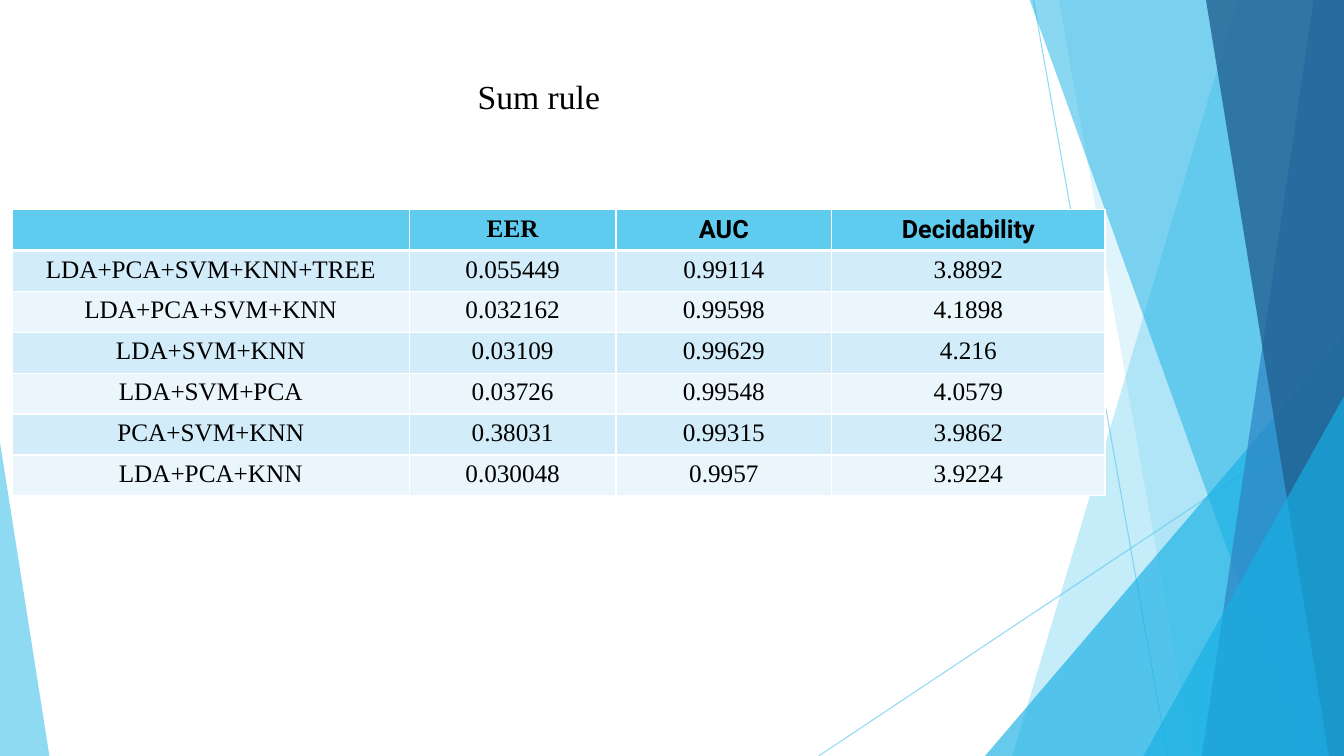
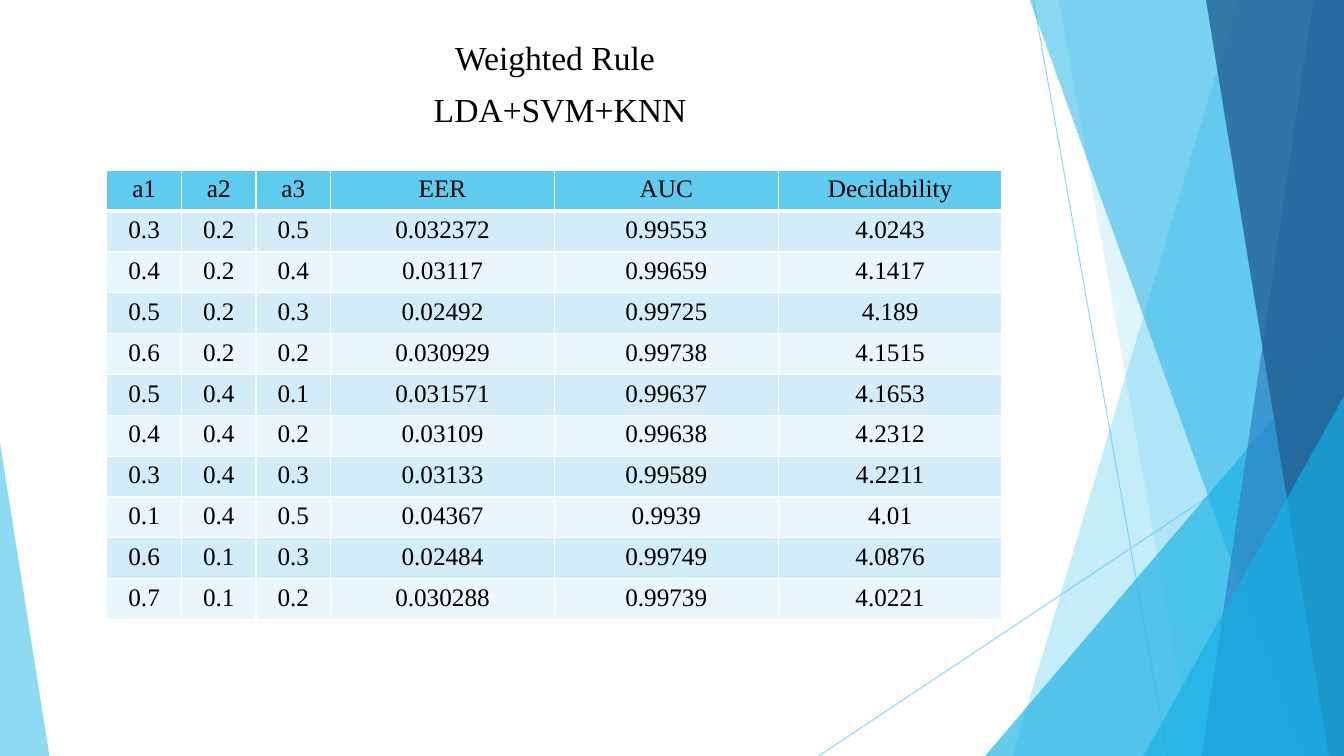
from dataclasses import dataclass

from lxml.etree import SubElement as Sub
from pptx import Presentation
from pptx.dml.color import RGBColor as Rgb
from pptx.enum.shapes import MSO_CONNECTOR as Link, MSO_SHAPE as Kind
from pptx.enum.text import MSO_ANCHOR as Anchor, MSO_AUTO_SIZE as Fit, PP_ALIGN as Align
from pptx.oxml.ns import qn
from pptx.util import Inches, Pt

SERIF, SANS = "Times New Roman", "Roboto"
BLACK, WHITE = "000000", "FFFFFF"
SKY, AQUA, BLUE, NAVY = "5FCBEF", "17B0E4", "2E83C3", "226292"
BANDS = ("EAF6FC", "D2ECF9")
WIDE, HIGH = 13.33, 7.5


@dataclass
class Ray:
    x1: float
    y1: float
    x2: float
    y2: float


@dataclass
class Shard:
    top: float
    base: float
    color: str
    alpha: int


@dataclass
class Wedge:
    left: float
    top: float
    width: float
    apex: float
    color: str
    alpha: int


@dataclass
class Label:
    text: str
    left: float
    top: float
    width: float
    wrap: bool = True


@dataclass
class Grid:
    left: float
    top: float
    height: float
    cols: list[float]
    rows: list[str]
    fonts: list[str]
    bold: bool = False


@dataclass
class Page:
    labels: list[Label]
    grid: Grid


RAYS = [Ray(10.25, 0, 11.58, HIGH), Ray(WIDE, 4.03, 8.12, HIGH)]
FACETS = [
    Shard(12.28, 10.04, SKY, 36),
    Shard(10.5, 11.83, SKY, 20),
    Wedge(9.77, 3.33, 3.56, 1, AQUA, 66),
    Shard(10.21, 12.91, AQUA, 50),
    Shard(13.03, 11.92, BLUE, 70),
    Shard(11.96, 13.18, NAVY, 80),
    Wedge(11.34, 3.93, 1.99, 1, AQUA, 66),
    Wedge(0, 4.39, 0.49, 0, SKY, 70),
]

PAGES = [
    Page(
        [Label("Sum rule", 4.63, 0.7, 1.43, False)],
        Grid(0.12, 2.08, 2.84, [3.94, 2.05, 2.14, 2.71], [
            "|EER|AUC|Decidability",
            "LDA+PCA+SVM+KNN+TREE|0.055449|0.99114|3.8892",
            "LDA+PCA+SVM+KNN|0.032162|0.99598|4.1898",
            "LDA+SVM+KNN|0.03109|0.99629|4.216",
            "LDA+SVM+PCA|0.03726|0.99548|4.0579",
            "PCA+SVM+KNN|0.38031|0.99315|3.9862",
            "LDA+PCA+KNN|0.030048|0.9957|3.9224",
        ], [SERIF, SERIF, SANS, SANS], True),
    ),
    Page(
        [Label("Weighted Rule", 3.95, 0.32, 3.11), Label("LDA+SVM+KNN", 3.19, 0.83, 4.73)],
        Grid(1.06, 1.69, 4.46, [0.74] * 3 + [2.22] * 3, [
            "a1|a2|a3|EER|AUC|Decidability",
            "0.3|0.2|0.5|0.032372|0.99553|4.0243",
            "0.4|0.2|0.4|0.03117|0.99659|4.1417",
            "0.5|0.2|0.3|0.02492|0.99725|4.189",
            "0.6|0.2|0.2|0.030929|0.99738|4.1515",
            "0.5|0.4|0.1|0.031571|0.99637|4.1653",
            "0.4|0.4|0.2|0.03109|0.99638|4.2312",
            "0.3|0.4|0.3|0.03133|0.99589|4.2211",
            "0.1|0.4|0.5|0.04367|0.9939|4.01",
            "0.6|0.1|0.3|0.02484|0.99749|4.0876",
            "0.7|0.1|0.2|0.030288|0.99739|4.0221",
        ], [SERIF] * 6),
    ),
]


def paint(fill, color: str) -> None:
    fill.solid()
    fill.fore_color.rgb = Rgb.from_string(color)


def fade(shape, alpha: int) -> None:
    for node in shape.element.iter(qn("a:srgbClr")):
        Sub(node, qn("a:alpha"), val=str(alpha * 1000))


def write(para, text: str, size: int, face: str = SERIF, bold: bool = False) -> None:
    para.alignment = Align.CENTER
    run = para.add_run()
    run.text = text
    run.font.size, run.font.name, run.font.bold = Pt(size), face, bold
    paint(run.font.fill, BLACK)


def draw_ray(slide, ray: Ray) -> None:
    ends = map(Inches, (ray.x1, ray.y1, ray.x2, ray.y2))
    line = slide.shapes.add_connector(Link.STRAIGHT, *ends)
    line.line.width = Pt(0.75)
    paint(line.line.fill, SKY)
    Sub(line.element.spPr, qn("a:effectLst"))
    fade(line, 70)


def draw_facet(slide, facet: Shard | Wedge) -> None:
    if isinstance(facet, Shard):
        edge = [(facet.top, -0.01), (WIDE, -0.01), (WIDE, HIGH), (facet.base, HIGH)]
        first, *rest = [(Inches(x), Inches(y)) for x, y in edge]
        pen = slide.shapes.build_freeform(*first)
        pen.add_line_segments(rest, close=True)
        shape = pen.convert_to_shape()
    else:
        box = map(Inches, (facet.left, facet.top, facet.width, HIGH - facet.top))
        shape = slide.shapes.add_shape(Kind.ISOSCELES_TRIANGLE, *box)
        shape.adjustments[0] = facet.apex
    shape.shadow.inherit = False
    shape.line.fill.background()
    paint(shape.fill, facet.color)
    fade(shape, facet.alpha)


def set_label(shape, label: Label) -> None:
    shape.left, shape.top = Inches(label.left), Inches(label.top)
    shape.width, shape.height = Inches(label.width), Inches(0.5)
    frame = shape.text_frame
    frame.auto_size = Fit.NONE
    frame.word_wrap = label.wrap
    frame.vertical_anchor = Anchor.TOP
    write(frame.paragraphs[0], label.text, 24)


def set_edges(cell, row: int) -> None:
    props = cell._tc.get_or_add_tcPr()
    thick = {"T": 3 if row == 1 else 1, "B": 3 if row == 0 else 1}
    for side in "LRTB":
        line = Sub(props, qn(f"a:ln{side}"), w=str(Pt(thick.get(side, 1))))
        Sub(Sub(line, qn("a:solidFill")), qn("a:srgbClr"), val=WHITE)


def draw_grid(slide, grid: Grid) -> None:
    box = map(Inches, (grid.left, grid.top, sum(grid.cols), grid.height))
    table = slide.shapes.add_table(len(grid.rows), len(grid.cols), *box).table
    for col, width in zip(table.columns, grid.cols):
        col.width = Inches(width)
    for r, row in enumerate(grid.rows):
        for c, text in enumerate(row.split("|")):
            cell = table.cell(r, c)
            set_edges(cell, r)
            paint(cell.fill, BANDS[r % 2] if r else SKY)
            if text:
                face = SERIF if r else grid.fonts[c]
                write(cell.text_frame.paragraphs[0], text, 18, face, grid.bold and r == 0)


def add_page(deck, page: Page) -> None:
    slide = deck.slides.add_slide(deck.slide_layouts[5])
    for ray in RAYS:
        draw_ray(slide, ray)
    for facet in FACETS:
        draw_facet(slide, facet)
    draw_grid(slide, page.grid)
    title, *others = page.labels
    set_label(slide.shapes.title, title)
    for label in others:
        set_label(slide.shapes.add_textbox(0, 0, 0, 0), label)


def main() -> None:
    deck = Presentation()
    deck.slide_width, deck.slide_height = Inches(WIDE), Inches(HIGH)
    paint(deck.slide_master.background.fill, WHITE)
    for page in PAGES:
        add_page(deck, page)
    deck.save("out.pptx")


if __name__ == "__main__":
    main()
